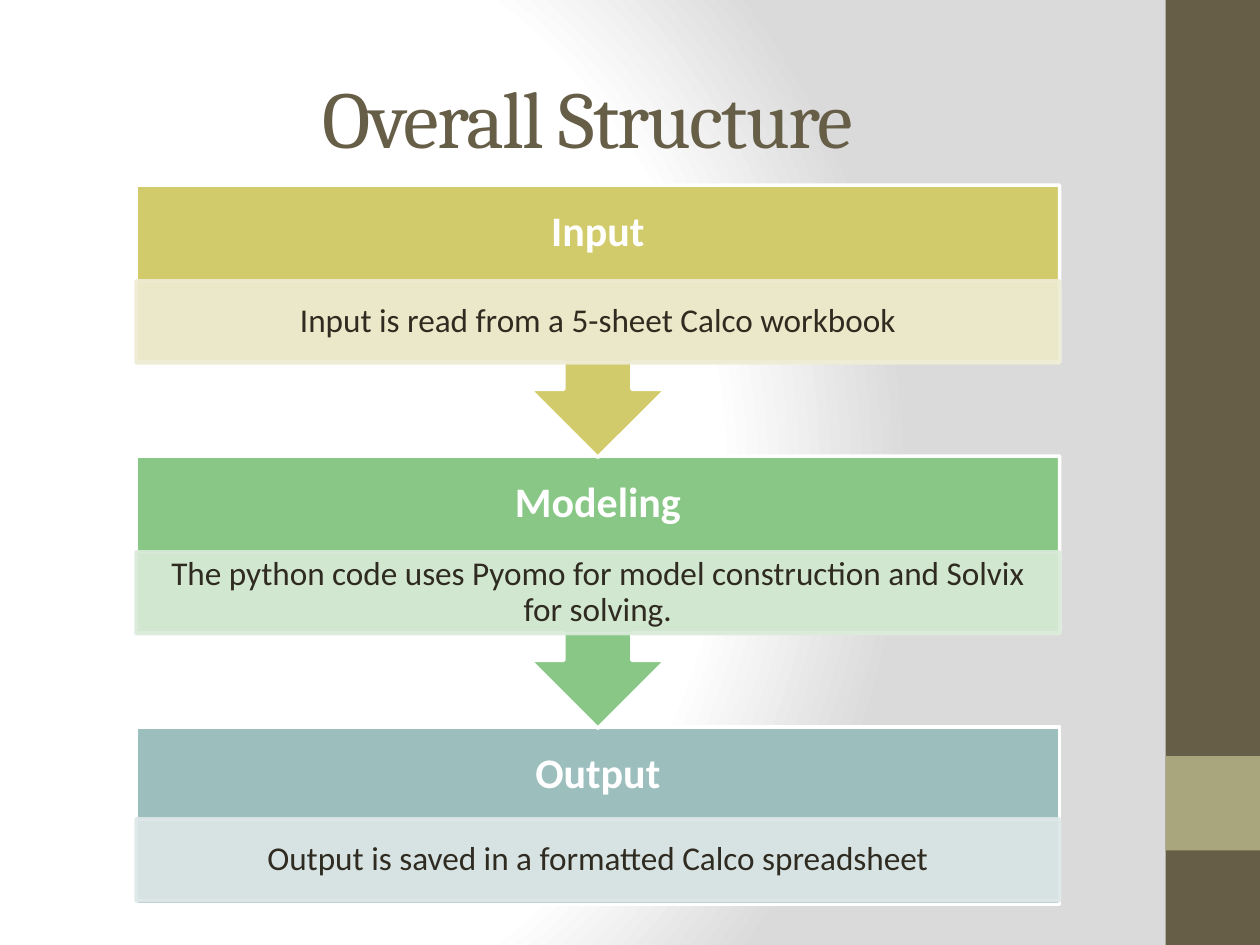
from dataclasses import dataclass

from lxml.etree import SubElement
from pptx import Presentation
from pptx.dml.color import RGBColor as RGB
from pptx.enum.shapes import MSO_SHAPE as Shape
from pptx.enum.text import MSO_ANCHOR as Anchor, PP_ALIGN as Align
from pptx.oxml import parse_xml
from pptx.oxml.ns import nsdecls, qn
from pptx.util import Inches, Pt


@dataclass(frozen=True)
class Theme:
    dark: str = "675E47"
    accent: str = "A9A57C"
    ink: str = "2F2B20"
    white: str = "FFFFFF"
    shade: str = "DADADA"
    serif: str = "Cambria"
    sans: str = "Calibri"
    title: int = 46
    head: int = 24
    body: int = 19


T = Theme()

# Heading, detail, strong colour, pale colour
STEPS = [
    ("Input", "Input is read from a 5-sheet Calco workbook", "D2CB6C", "EEECD4"),
    ("Modeling", "The python code uses Pyomo for model construction and Solvix for solving.",
     "88C785", "DAEBD9"),
    ("Output", "Output is saved in a formatted Calco spreadsheet", "9CBEBD", "DEE8E8"),
]


def add_box(slide, kind, box, fill, line=None):
    shape = slide.shapes.add_shape(kind, *map(Inches, box))
    shape.shadow.inherit = False
    shape.fill.solid()
    shape.fill.fore_color.rgb = RGB.from_string(fill)
    if line:
        shape.line.color.rgb = RGB.from_string(line)
        shape.line.width = Pt(2)
    else:
        shape.line.fill.background()
    return shape


def add_label(slide, box):
    return slide.shapes.add_textbox(*map(Inches, box))


def set_text(shape, text, font, size, color, pad, bold=False, space=0.9):
    frame = shape.text_frame
    frame.text = text
    frame.word_wrap = True
    frame.vertical_anchor = Anchor.MIDDLE
    frame.margin_left = frame.margin_right = Inches(pad[0])
    frame.margin_top = frame.margin_bottom = Inches(pad[1])
    para = frame.paragraphs[0]
    para.alignment = Align.CENTER
    para.line_spacing = space
    run = para.runs[0]
    run.font.name, run.font.size, run.font.bold = font, Pt(size), bold
    run.font.color.rgb = RGB.from_string(color)
    return run


def fade(shape, percent):
    for color in shape.element.spPr.iter(qn("a:srgbClr")):
        SubElement(color, qn("a:alpha")).set("val", str(percent * 1000))


def add_back(slide):
    slide.background.fill.solid()
    solid = next(slide.element.iter(qn("a:solidFill")))
    stops = "".join(
        f'<a:gs pos="{pos * 1000}"><a:srgbClr val="{color}"/></a:gs>'
        for pos, color in [(0, T.white), (75, T.white), (100, T.shade)])
    grad = parse_xml(
        f'<a:gradFill {nsdecls("a")} rotWithShape="1"><a:gsLst>{stops}</a:gsLst>'
        '<a:path path="circle"><a:fillToRect l="20000" t="50000" r="100000" b="50000"/>'
        '</a:path></a:gradFill>')
    solid.getparent().replace(solid, grad)


def add_side(slide, x, y, w, h):
    add_box(slide, Shape.RECTANGLE, (x, y, w, h), T.dark)
    add_box(slide, Shape.RECTANGLE, (x, y + h - 2 * w, w, w), T.accent)


def add_title(slide, box, text):
    run = set_text(add_label(slide, box), text, T.serif, T.title, T.dark,
                   (0.1, 0.05), space=1)
    run.font._element.set("spc", "-100")


def add_step(slide, x, y, w, step, last):
    head, body, strong, pale = step
    # Frame, with a downward arrow on all but the last step
    if last:
        add_box(slide, Shape.RECTANGLE, (x, y, w, 1.41), strong, T.white)
    else:
        frame = add_box(slide, Shape.UP_ARROW_CALLOUT, (x, y, w, 2.16), strong, T.white)
        frame.rotation = 180
    # Heading
    label = add_label(slide, (x, y, w, 0.76))
    set_text(label, head, T.sans, T.head, T.white, (0.19, 0.19), bold=True)
    # Detail band
    drop = 0.73 if last else 0.76
    band = add_box(slide, Shape.RECTANGLE, (x, y + drop, w, 0.65), pale, pale)
    fade(band, 90)
    set_text(band, body, T.sans, T.body, T.ink, (0.15, 0.03))


def add_flow(slide, x, y, w, pitch):
    # Bottom step first, so each arrow tip lies over the next step
    for i, step in reversed(list(enumerate(STEPS))):
        add_step(slide, x, y + i * pitch, w, step, i == len(STEPS) - 1)


deck = Presentation()
deck.slide_width, deck.slide_height = Inches(10), Inches(7.5)
page = deck.slides.add_slide(deck.slide_layouts[6])
add_back(page)
add_side(page, 9.25, 0, 0.75, 7.5)
add_title(page, (0.5, 0.3, 8.33, 1.25), "Overall Structure")
add_flow(page, 1.08, 1.47, 7.33, 2.15)
deck.save("out.pptx")
